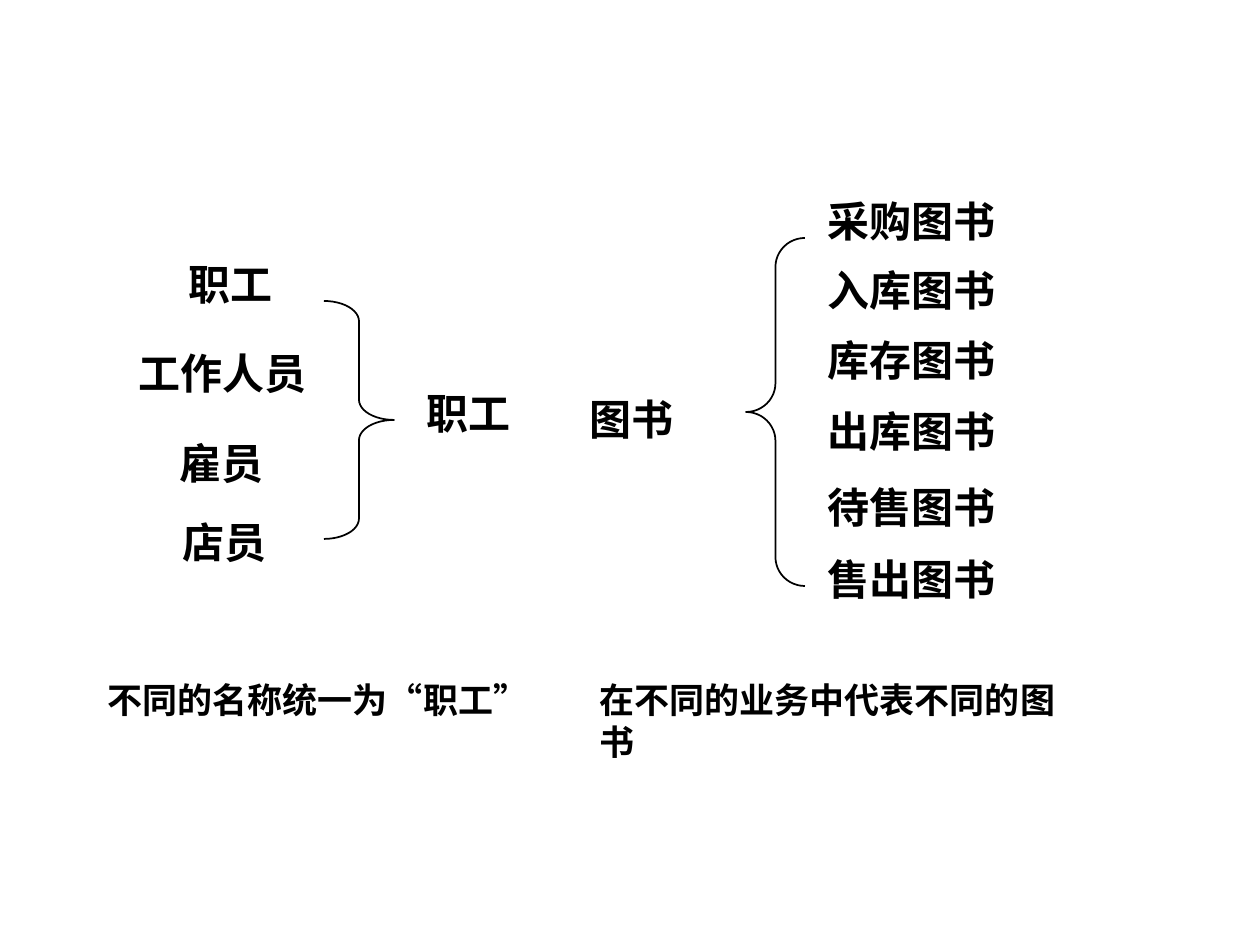
from pptx import Presentation
from pptx import util as u
from pptx.dml.color import RGBColor
from pptx.enum import shapes, text

BLACK = RGBColor(0, 0, 0)
SERIF = "Times New Roman"
SANS = "Noto Sans CJK SC"
LEFT = text.PP_ALIGN.LEFT
CENTER = text.PP_ALIGN.CENTER
LABEL_HEIGHT = 63


def px(value):
    return u.Emu(round(value * 914400 / 126))


def add_label(slide, box, runs, size=24, align=LEFT, wrap=True):
    frame = slide.shapes.add_textbox(*map(px, box)).text_frame
    frame.word_wrap = wrap
    frame.auto_size = text.MSO_AUTO_SIZE.SHAPE_TO_FIT_TEXT
    paragraph = frame.paragraphs[0]
    paragraph.alignment = align
    for words, name in runs:
        run = paragraph.add_run()
        run.text = words
        formats = {"name": name, "size": u.Pt(size), "bold": True}
        for key, value in formats.items():
            setattr(run.font, key, value)
        run.font.color.rgb = BLACK


def add_brace(slide, kind, box, curve):
    shape = slide.shapes.add_shape(kind, *map(px, box))
    shape.shadow.inherit = False
    shape.adjustments[0] = curve
    shape.fill.background()
    shape.line.color.rgb = BLACK
    shape.line.width = u.Pt(1)


def add_staff_names(slide, box):
    left, top, width, height = box
    names = [
        ("职工", 30, 0, 149, CENTER),
        ("工作人员", 0, 89, 218, LEFT),
        ("雇员", 41, 179, 139, LEFT),
        ("店员 ", 39, 258, 129, CENTER),
    ]
    for words, x, y, label_width, align in names:
        add_label(slide, (left + x, top + y, label_width, LABEL_HEIGHT),
                  [(words, SERIF)], align=align)
    add_brace(slide, shapes.MSO_SHAPE.RIGHT_BRACE,
              (left + 198, top + 49, 70, height - 83), 0.29)
    add_label(slide, (left + width - 149, top + 129, 149, LABEL_HEIGHT),
              [("职工", SERIF)], align=CENTER)


def add_book_kinds(slide, box):
    left, top, width, height = box
    kinds = {"采购图书": 0, "入库图书": 69, "库存图书": 139,
             "出库图书": 210, "待售图书": 286, "售出图书": 358}
    for words, y in kinds.items():
        add_label(slide, (left + width - 238, top + y, 238, LABEL_HEIGHT),
                  [(words, SERIF)])
    add_label(slide, (left, top + 198, 129, LABEL_HEIGHT), [("图书", SERIF)])
    add_brace(slide, shapes.MSO_SHAPE.LEFT_BRACE,
              (left + 169, top + 49, 59, height - 73), 0.49)


def add_captions(slide, box):
    left, top, width, height = box
    add_label(slide, (left, top, 462, height),
              [("不同的名称统一为", SERIF), ("“", SANS),
               ("职工", SERIF), ("”", SANS)], size=20)
    add_label(slide, (left + width - 515, top, 515, height),
              [("在不同的业务中代表不同的图书", SERIF)], size=20, wrap=False)


def main():
    presentation = Presentation()
    presentation.slide_width = px(1260)
    presentation.slide_height = px(945)
    slide = presentation.slides.add_slide(presentation.slide_layouts[6])
    add_staff_names(slide, (126, 252, 417, 321))
    add_book_kinds(slide, (577, 189, 476, 421))
    add_captions(slide, (95, 672, 1007, 55))
    presentation.save("out.pptx")


if __name__ == "__main__":
    main()
